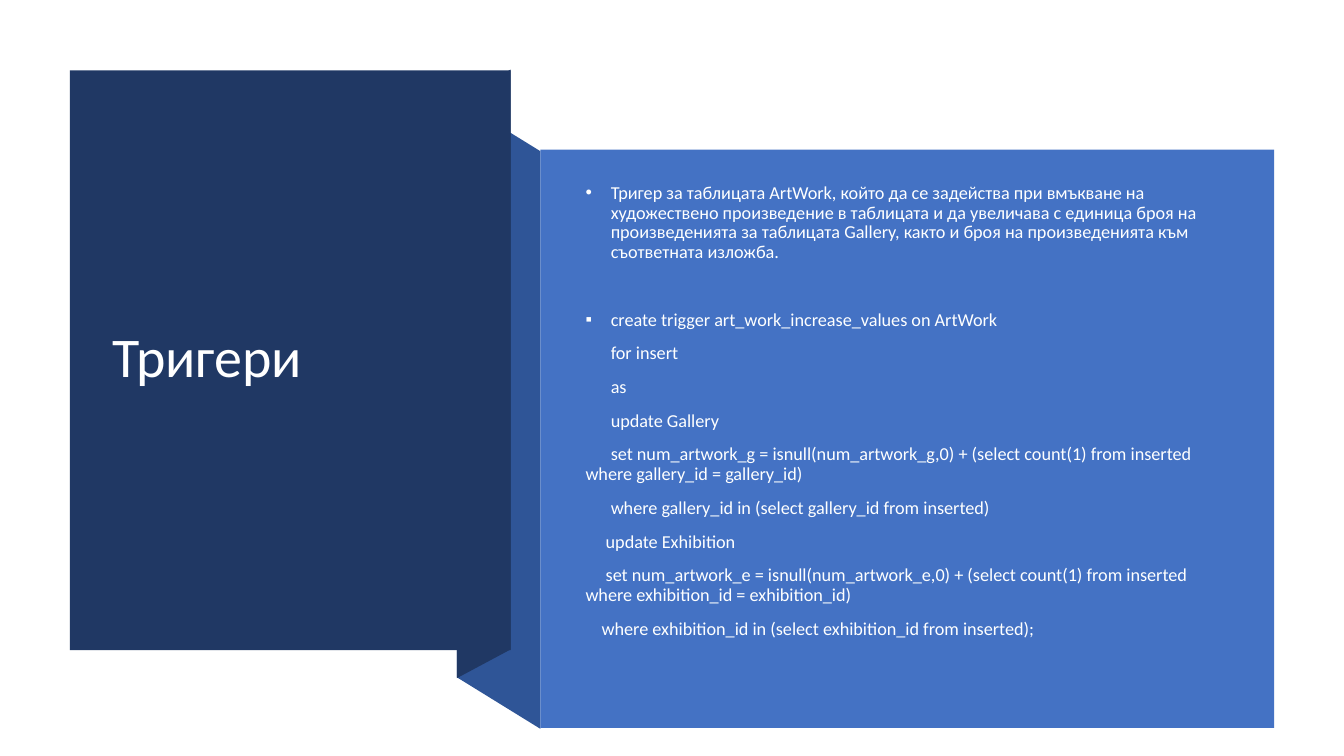
from lxml.etree import SubElement
from pptx import Presentation
from pptx.dml.color import RGBColor
from pptx.enum.shapes import MSO_SHAPE
from pptx.enum.text import MSO_ANCHOR, MSO_AUTO_SIZE, PP_ALIGN
from pptx.oxml.ns import qn
from pptx.util import Inches, Pt

WIDTH, HEIGHT = Inches(13.33), Inches(7.5)
NAVY = RGBColor(0x20, 0x38, 0x64)
FOLD_BLUE = RGBColor(0x2F, 0x55, 0x97)
PANEL_BLUE = RGBColor(0x44, 0x72, 0xC4)
WHITE = RGBColor(0xFF, 0xFF, 0xFF)
BODY_WHITE = RGBColor(0xFE, 0xFF, 0xFF)
FONT = "Calibri"
BULLET_INDENT = 0.25
EMPTY_LINE = 24.3

STATEMENTS = [
    ("Тригер за таблицата ArtWork, който да се задейства при вмъкване на "
     "художествено произведение в таблицата и да увеличава с единица броя на "
     "произведенията за таблицата Gallery, както и броя на произведенията към "
     "съответната изложба.", "•", BULLET_INDENT, 10),
    ("create trigger art_work_increase_values on ArtWork", "▪", BULLET_INDENT, 10 + EMPTY_LINE),
    ("for insert", None, 0.25, 10),
    ("as", None, 0.25, 10),
    ("update Gallery", None, 0.25, 10),
    ("set num_artwork_g = isnull(num_artwork_g,0) + (select count(1) from inserted "
     "where gallery_id = gallery_id)", None, 0.25, 10),
    ("where gallery_id in (select gallery_id from inserted)", None, 0.25, 10),
    ("update Exhibition", None, 0.2, 10),
    ("set num_artwork_e = isnull(num_artwork_e,0) + (select count(1) from inserted "
     "where exhibition_id = exhibition_id)", None, 0.2, 10),
    ("where exhibition_id in (select exhibition_id from inserted);", None, 0.16, 10),
]


def across(percent):
    return round(WIDTH * percent / 100)


def down(percent):
    return round(HEIGHT * percent / 100)


def box(left, top, width, height):
    return across(left), down(top), across(width), down(height)


def paint(sp, color):
    sp.shadow.inherit = False
    sp.fill.solid()
    sp.fill.fore_color.rgb = color
    sp.line.fill.background()


def add_panel(slide, bounds, color):
    paint(slide.shapes.add_shape(MSO_SHAPE.RECTANGLE, *bounds), color)


def add_fold(slide, left, right, left_top, right_top, left_bottom, right_bottom, color):
    corners = [(right, right_bottom), (left, left_bottom), (left, left_top), (right, right_top)]
    points = [(across(x), down(y)) for x, y in corners]
    builder = slide.shapes.build_freeform(*points[0])
    builder.add_line_segments(points[1:], close=True)
    paint(builder.convert_to_shape(), color)


def format_paragraph(p, size, color):
    p.alignment = PP_ALIGN.LEFT
    p.line_spacing = 0.9
    for r in p.runs:
        r.font.name = FONT
        r.font.size = Pt(size)
        r.font.color.rgb = color


def set_indent(p, bullet, indent):
    pPr = p._p.get_or_add_pPr()
    if bullet:
        pPr.set("marL", str(Inches(indent)))
        pPr.set("indent", str(-Inches(indent)))
        SubElement(pPr, qn("a:buFont")).set("typeface", "Arial")
        SubElement(pPr, qn("a:buChar")).set("char", bullet)
    else:
        pPr.set("marL", "0")
        pPr.set("indent", str(Inches(indent)))


def add_title(slide, text, bounds):
    title = slide.shapes.title
    title.left, title.top, title.width, title.height = bounds
    tf = title.text_frame
    tf.text = text
    tf.auto_size = MSO_AUTO_SIZE.NONE
    tf.vertical_anchor = MSO_ANCHOR.MIDDLE
    format_paragraph(tf.paragraphs[0], 40, WHITE)


def add_statements(slide, bounds):
    tf = slide.shapes.add_textbox(*bounds).text_frame
    tf.word_wrap = True
    tf.vertical_anchor = MSO_ANCHOR.MIDDLE
    tf.margin_bottom = Inches(0.05) + Pt(EMPTY_LINE)
    for i, (text, bullet, indent, space) in enumerate(STATEMENTS):
        p = tf.add_paragraph() if i else tf.paragraphs[0]
        p.text = text
        format_paragraph(p, 13, BODY_WHITE)
        p.space_before = Pt(space)
        set_indent(p, bullet, indent)


def main():
    prs = Presentation()
    prs.slide_width, prs.slide_height = WIDTH, HEIGHT
    slide = prs.slides.add_slide(prs.slide_layouts[5])
    add_fold(slide, 34, 40.2, 13.2, 20, 89.6, 96.4, FOLD_BLUE)
    add_fold(slide, 34, 38, 13.1, 9.2, 89.7, 85.9, NAVY)
    add_panel(slide, box(5.2, 9.3, 32.8, 76.7), NAVY)
    add_panel(slide, box(40.2, 19.8, 54.6, 76.5), PANEL_BLUE)
    add_title(slide, "Тригери", box(7.65, 14.27, 27.83, 66.53))
    slide.shapes._spTree.append(slide.shapes.title._element)
    add_statements(slide, box(42.83, 25.07, 48.83, 63.2))
    prs.save("out.pptx")


if __name__ == "__main__":
    main()
